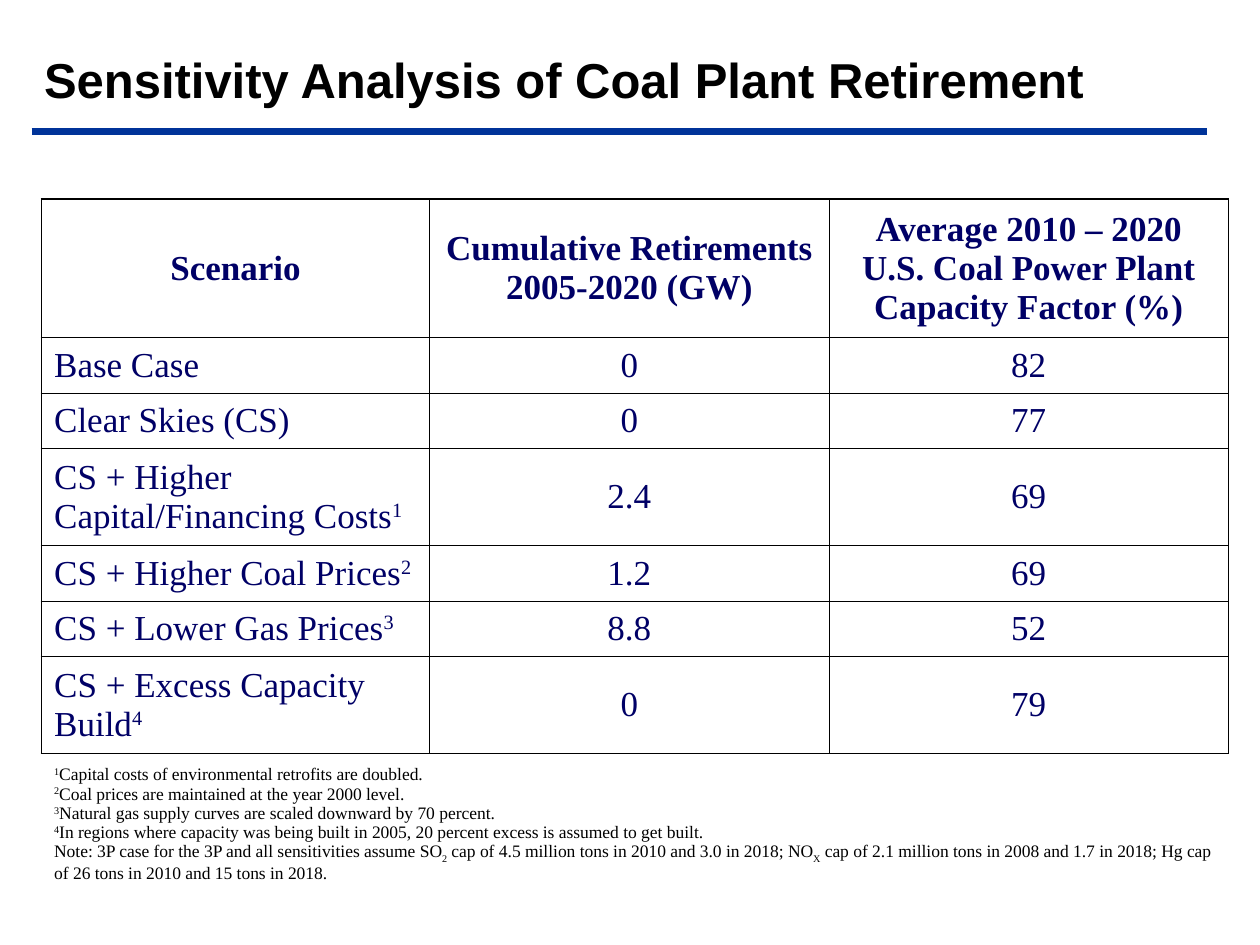
from lxml import etree
from pptx import Presentation
from pptx.dml.color import RGBColor
from pptx.enum.shapes import MSO_CONNECTOR
from pptx.enum.text import MSO_ANCHOR, MSO_AUTO_SIZE, PP_ALIGN
from pptx.oxml.ns import qn
from pptx.util import Inches, Pt

STRAIGHT = MSO_CONNECTOR.STRAIGHT
MIDDLE = MSO_ANCHOR.MIDDLE
NO_FIT = MSO_AUTO_SIZE.NONE
LEFT, CENTER = PP_ALIGN.LEFT, PP_ALIGN.CENTER

COLORS = {"ink": "000000", "navy": "000066", "rule": "003399"}
SLIDE_WIDTH, SLIDE_HEIGHT = Inches(10), Inches(7.5)
TITLE_LEFT, CONTENT_WIDTH = Inches(0.25), Inches(9.42)
COLUMN_WIDTHS = [3.08, 3.17, 3.17]
HEADER_HEIGHT, LINE_HEIGHT, DOUBLE_HEIGHT, NOTES_HEIGHT = 1.1, 0.44, 0.77, 1.13
THICK, THIN = 1.08, 0.45
BASELINES = {"^": "30000", "_": "-25000"}

HEADERS = [
    "Scenario",
    "Cumulative Retirements 2005-2020 (GW)",
    "Average 2010 – 2020 U.S. Coal Power Plant Capacity Factor (%)",
]
SCENARIOS = [
    (LINE_HEIGHT, "Base Case", "0", "82"),
    (LINE_HEIGHT, "Clear Skies (CS)", "0", "77"),
    (DOUBLE_HEIGHT, "CS + Higher Capital/Financing Costs|^1", "2.4", "69"),
    (LINE_HEIGHT, "CS + Higher Coal Prices|^2", "1.2", "69"),
    (LINE_HEIGHT, "CS + Lower Gas Prices|^3", "8.8", "52"),
    (DOUBLE_HEIGHT, "CS + Excess Capacity Build|^4", "0", "79"),
]
NOTES = [
    "^1|Capital costs of environmental retrofits are doubled.",
    "^2|Coal prices are maintained at the year 2000 level.",
    "^3|Natural gas supply curves are scaled downward by 70 percent.",
    "^4|In regions where capacity was being built in 2005, 20 percent excess "
    "is assumed to get built.",
    "Note: 3P case for the 3P and all sensitivities assume SO|_2| cap of "
    "4.5 million tons in 2010 and 3.0 in 2018; NO|_X| cap of 2.1 million tons "
    "in 2008 and 1.7 in 2018; Hg cap of 26 tons in 2010 and 15 tons in 2018.",
]


def set_font(para, name, size, color, bold=False):
    font = para.font
    font.name, font.size, font.bold = name, Pt(size), bold
    font.color.rgb = RGBColor.from_string(COLORS[color])


def add_spans(para, markup):
    for part in markup.split("|"):
        span = para.add_run()
        baseline = BASELINES.get(part[0])
        span.text = part[1:] if baseline else part
        if baseline:
            span.font._element.set("baseline", baseline)


def fill_cell(cell, lines, size, color, align=LEFT, bold=False):
    cell.vertical_anchor = MIDDLE
    para = cell.text_frame.paragraphs[0]
    para.alignment = align
    set_font(para, "Times New Roman", size, color, bold)
    for number, line in enumerate(lines):
        if number:
            para.add_line_break()
        add_spans(para, line)


def set_borders(cell, left, right, top, bottom):
    cell.fill.background()
    properties = cell._tc.get_or_add_tcPr()
    sides = {"a:lnL": left, "a:lnR": right, "a:lnT": top, "a:lnB": bottom}
    for position, (tag, width) in enumerate(sides.items()):
        line = etree.Element(qn(tag), w=str(Pt(width)))
        properties.insert(position, line)
        if width:
            fill = etree.SubElement(line, qn("a:solidFill"))
            etree.SubElement(fill, qn("a:srgbClr"), val=COLORS["ink"])
        else:
            etree.SubElement(line, qn("a:noFill"))


def add_title(page, text):
    title = page.shapes.title
    title.left, title.top = TITLE_LEFT, 0
    title.width, title.height = CONTENT_WIDTH, Inches(1.25)
    frame = title.text_frame
    frame.text = text
    frame.auto_size = NO_FIT
    frame.vertical_anchor = MIDDLE
    para = frame.paragraphs[0]
    para.alignment = LEFT
    set_font(para, "Arial", 28, "ink", True)


def add_rule(page):
    height = Inches(1.04)
    rule = page.shapes.add_connector(
        STRAIGHT, TITLE_LEFT, height, Inches(9.58), height)
    rule.line.color.rgb = RGBColor.from_string(COLORS["rule"])
    rule.line.width = Pt(4)
    etree.SubElement(rule._element.spPr, qn("a:effectLst"))


def add_scenario_table(page):
    heights = [HEADER_HEIGHT, *(row[0] for row in SCENARIOS), NOTES_HEIGHT]
    columns, rows = len(COLUMN_WIDTHS), len(heights)
    table = page.shapes.add_table(
        rows, columns, Inches(0.33), Inches(1.58),
        CONTENT_WIDTH, Inches(sum(heights))).table
    table.first_row = table.horz_banding = False
    for column, width in zip(table.columns, COLUMN_WIDTHS):
        column.width = Inches(width)
    for row, height in zip(table.rows, heights):
        row.height = Inches(height)

    contents = [HEADERS, *(row[1:] for row in SCENARIOS)]
    for row, texts in enumerate(contents):
        for column, text in enumerate(texts):
            cell = table.cell(row, column)
            header = row == 0
            align = CENTER if header or column else LEFT
            fill_cell(cell, [text], 20, "navy", align, header)
            set_borders(
                cell,
                left=THIN if column else THICK,
                right=THICK if column == columns - 1 else THIN,
                top=THICK if header else THIN,
                bottom=THIN)

    notes_row = rows - 1
    notes = table.cell(notes_row, 0)
    notes.merge(table.cell(notes_row, columns - 1))
    fill_cell(notes, NOTES, 10, "ink")
    for column in range(columns):
        set_borders(table.cell(notes_row, column), 0, 0, THIN, 0)


def main():
    deck = Presentation()
    deck.slide_width, deck.slide_height = SLIDE_WIDTH, SLIDE_HEIGHT
    page = deck.slides.add_slide(deck.slide_layouts.get_by_name("Title Only"))
    add_title(page, "Sensitivity Analysis of Coal Plant Retirement")
    add_scenario_table(page)
    add_rule(page)
    deck.save("out.pptx")


if __name__ == "__main__":
    main()
